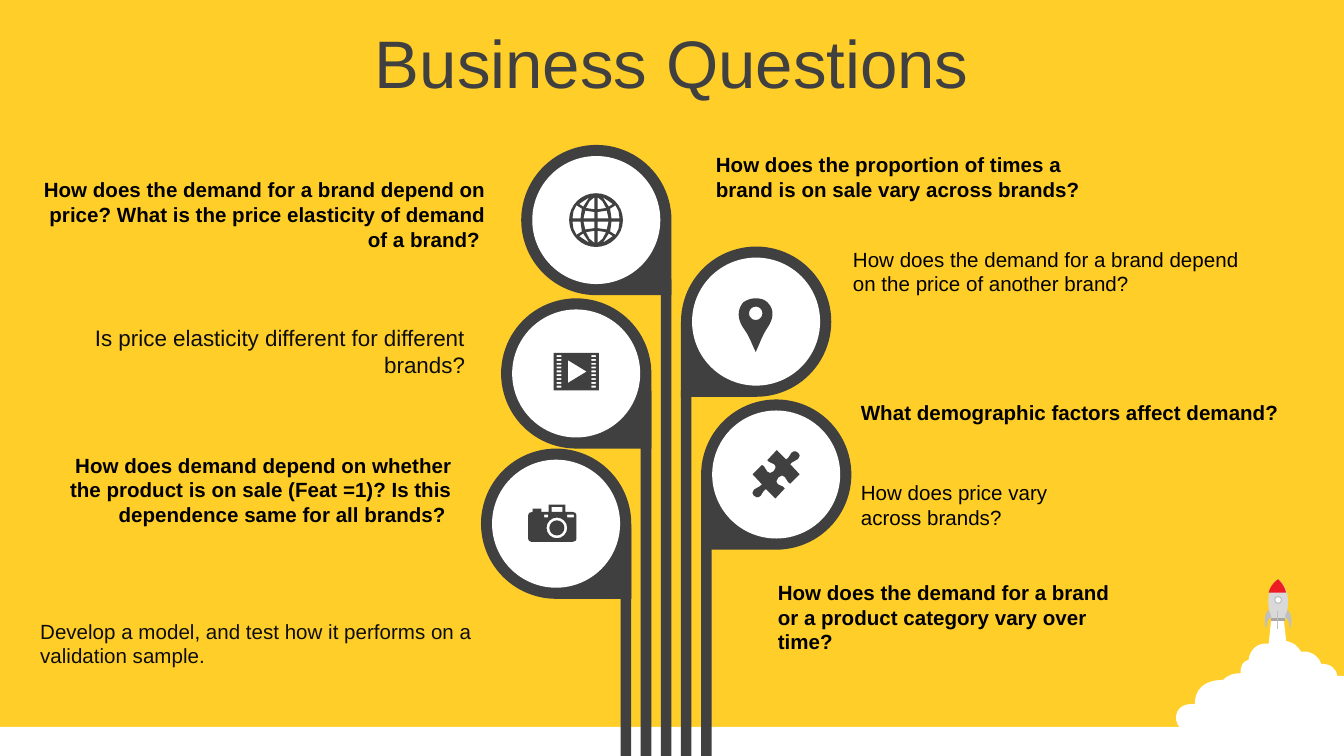
from lxml.etree import SubElement
from pptx import Presentation
from pptx.dml.color import RGBColor as Color
from pptx.enum.shapes import MSO_SHAPE as Preset
from pptx.enum.text import MSO_ANCHOR as Anchor, MSO_AUTO_SIZE as AutoSize, PP_ALIGN as Align
from pptx.oxml.ns import qn
from pptx.util import Cm, Pt

COLORS = {"yellow": "FFCE29", "dark": "404040", "white": "FFFFFF", "black": "000000",
          "ink": "0D0D0D", "body": "D9D9D9", "band": "A6A6A6", "fin": "BFBFBF",
          "red": "ED1C24"}
WIDTH, HEIGHT = 25.4, 14.29
UNIT = 0.0254

TITLE = ("Business Questions", 0, 0.36, WIDTH, 1.6)
BOLD = {"size": Pt(11), "bold": True, "name": "Arial"}
PLAIN = {"size": Pt(11), "bold": False, "name": "Arial"}
LARGE = {"size": Pt(12), "bold": False, "name": "Arial"}
HEADING = {"size": Pt(36), "bold": False, "name": "Arial"}

QUESTIONS = [
    ("How does the demand for a brand depend on price? What is the price elasticity of demand of a brand? ",
     0.51, 3.23, 8.92, 1.68, Align.RIGHT, BOLD, "black"),
    ("How does demand depend on whether the product is on sale (Feat =1)? Is this dependence same for all brands? ",
     1.07, 8.43, 7.72, 1.68, Align.RIGHT, BOLD, "black"),
    ("How does the demand for a brand depend on the price of another brand?",
     15.87, 4.54, 7.82, 1.19, Align.LEFT, PLAIN, "black"),
    ("What demographic factors affect demand?",
     16.02, 7.44, 8.49, 0.73, Align.LEFT, BOLD, "black"),
    ("How does price vary\nacross brands?",
     16.02, 8.95, 7.06, 1.19, Align.LEFT, PLAIN, "black"),
    ("How does the proportion of times a brand is on sale vary across brands?",
     13.28, 2.75, 8.2, 1.19, Align.LEFT, BOLD, "black"),
    ("How does the demand for a brand or a product category vary over time?",
     14.45, 10.84, 7.26, 1.19, Align.LEFT, BOLD, "black"),
    ("Is price elasticity different for different brands?",
     1.45, 6.0, 7.59, 1.28, Align.RIGHT, LARGE, "ink"),
    ("Develop a model, and test how it performs on a validation sample.",
     0.51, 11.57, 10.39, 1.19, Align.LEFT, PLAIN, "ink"),
]

STEM_LEFT, STEM_PITCH, STEM_WIDTH = 11.73, 0.38, 0.2
LEAF, DISC = 2.84, 2.42
BRANCHES = [(2, "left", 2.74, 5.28), (1, "left", 5.64, 7.39), (0, "left", 8.48, 9.98),
            (3, "right", 4.66, 7.39), (4, "right", 7.55, 9.98)]


def rect(left, top, right, bottom):
    return [(left, top), (right, top), (right, bottom), (left, bottom)]


def circle(x, y, r):
    k = 0.55 * r
    return [(x + r, y), (x + r, y + k, x + k, y + r, x, y + r),
            (x - k, y + r, x - r, y + k, x - r, y),
            (x - r, y - k, x - k, y - r, x, y - r),
            (x + k, y - r, x + r, y - k, x + r, y)]


def placed(outline, x, y, flip_x=1, flip_y=1):
    return [tuple(value * flip_y + y if i % 2 else value * flip_x + x
                  for i, value in enumerate(step)) for step in outline]


CLOUD = [(946, 459), (955, 459), (957, 477), (962, 478, 965, 480, 968, 485),
         (975, 484, 981, 488, 983, 494), (990, 494, 994, 497, 995, 503),
         (1000, 503), (1000, 561), (934, 561),
         (923, 561, 917, 556, 913, 551), (905, 555, 894, 552, 893, 543),
         (891, 545, 889, 545, 886, 545), (880, 545, 875, 540, 875, 534),
         (875, 528, 880, 523, 889, 524), (889, 513, 896, 506, 910, 506),
         (914, 502, 918, 501, 923, 501), (923, 495, 925, 492, 929, 491),
         (930, 483, 936, 478, 944, 479)]
HULL = [(946, 462), (944, 453, 940, 440, 951, 431), (962, 441, 958, 454, 956, 462)]
NOSE = [(951, 431), (954, 434, 956, 437, 957, 441), (944, 441), (945, 437, 947, 434, 951, 431)]
FIN = [(-7, -5), (-5, 0), (-9, 2, -8, 7, -9, 9), (-10, 6, -11, -2, -7, -5)]

GLOBE_CELLS = [
    [(9.5, 10), (5, 17), (12.5, 12)],
    [(1.2, 8), (1.2, 17), (4.8, 14), (7.5, 9)],
    [(11.5, 1.2), (10.5, 8.5), (14.5, 11), (16.8, 6.5), (17.5, 1.2)],
    [(1.2, 1.2), (1.2, 6), (8, 7), (9.3, 1.2)],
]
GLOBE = [circle(443.5, 163.8, 20)] + [
    placed(cell, 443.5, 163.8, flip_x, flip_y)
    for cell in GLOBE_CELLS for flip_x in (1, -1) for flip_y in (1, -1)]
FILM = [rect(412, 262.5, 445.5, 290.5), [(422.5, 268), (422.5, 285), (436.5, 276.5)]] + [
    rect(left, 264.3 + 2.84 * row, left + 3.4, 265.7 + 2.84 * row)
    for left in (414.2, 440) for row in range(9)]
PIN = [[(562.3, 222), (566, 222, 569, 223, 571, 225), (577, 231, 575, 238, 571, 244),
        (567, 250, 566, 254, 562.3, 262), (558, 253, 558, 251, 553, 244),
        (549, 238, 548, 231, 553, 225), (556, 223, 559, 222, 562.3, 222)],
       circle(562.3, 233.2, 5)]
PUZZLE_HALF = [(16.5, -16), (18, -15, 18, -13, 16.5, -11.5), (14.5, -9.5, 12.5, -10, 10.5, -7.5),
               (17.5, 0), (10.5, 7), (7.5, 5.5, 8.5, 3.5, 6.5, 2), (5.5, 0, 3.5, 1, 1.8, 2.3),
               (0.5, 3.5, -0.5, 6, 1.5, 7.5), (3.5, 9, 4.5, 8, 6.5, 10.5), (-0.5, 18),
               (-7.5, 11), (-10.5, 13, -9.5, 14, -11.5, 16),
               (-13.5, 18, -15.5, 17, -16.5, 16)]
PUZZLE = [placed(PUZZLE_HALF, 577.5, 353) + placed(PUZZLE_HALF, 577.5, 353, -1, -1)]
CAMERA = [[(408.3, 375.5), (420.8, 375.5), (420.8, 381), (426, 381),
           (428, 381, 429, 382, 429, 383.5), (429, 401), (429, 402, 428, 403.3, 426, 403.3),
           (395.5, 403.3), (394, 403.3, 393, 402, 393, 401), (393, 383.5),
           (393, 382, 394, 381, 396.3, 381), (396.3, 378.6), (402.8, 378.6),
           (402.8, 381), (408.3, 381)],
          rect(410.5, 377.3, 418.5, 381), rect(405, 383, 408, 385), rect(422, 383, 427, 385),
          circle(414.4, 392.9, 7.7), circle(414.4, 392.9, 5.6)]

SCENERY = [([CLOUD], "white"), ([HULL], "body"), ([rect(946, 460, 956, 462)], "band"),
           ([NOSE], "red"), ([circle(951, 446.5, 3)], "fin"), ([circle(951, 446.5, 2)], "white"),
           ([rect(950.5, 455, 951.3, 468)], "fin"),
           ([placed(FIN, 951, 459)], "fin"), ([placed(FIN, 951, 459, -1)], "fin")]
ICONS = [GLOBE, FILM, PIN, PUZZLE, CAMERA]


def paint(shape, color):
    shape.shadow.inherit = False
    shape.fill.solid()
    shape.fill.fore_color.rgb = Color.from_string(COLORS[color])
    shape.line.fill.background()
    return shape


def add_preset(page, preset, color, *place):
    return paint(page.shapes.add_shape(preset, *map(Cm, place)), color)


def knots(outline):
    return [(Cm(step[i] * UNIT), Cm(step[i + 1] * UNIT))
            for step in outline for i in range(0, len(step), 2)]


def bend(shape, outlines):
    lines = iter(list(shape.element.iter(qn("a:lnTo"))))
    for step in (step for outline in outlines for step in outline[1:]):
        parts = [next(lines) for _ in range(len(step) // 2)]
        if len(parts) == 3:
            curve = SubElement(parts[0].getparent(), qn("a:cubicBezTo"))
            parts[0].addprevious(curve)
            for part in parts:
                curve.append(part[0])
                part.getparent().remove(part)


def add_drawing(page, outlines, color):
    first, *others = map(knots, outlines)
    builder = page.shapes.build_freeform(*first[0], scale=1.0)
    builder.add_line_segments(first[1:], close=True)
    for points in others:
        builder.move_to(*points[0])
        builder.add_line_segments(points[1:], close=True)
    shape = paint(builder.convert_to_shape(), color)
    bend(shape, outlines)


def add_text(page, text, left, top, width, height, align, style, color, frame_style):
    box = page.shapes.add_textbox(Cm(left), Cm(top), Cm(width), Cm(height))
    frame = box.text_frame
    for key, value in {"word_wrap": True, **frame_style}.items():
        setattr(frame, key, value)
    frame.text = text
    for para in frame.paragraphs:
        para.alignment = align
        for span in para.runs:
            for key, value in style.items():
                setattr(span.font, key, value)
            span.font.color.rgb = Color.from_string(COLORS[color])
    return frame


def add_branch(page, stem, side, top):
    left = STEM_LEFT + stem * STEM_PITCH
    if side == "left":
        left += STEM_WIDTH - LEAF
    leaf = add_preset(page, Preset.TEAR, "dark", left, top, LEAF, LEAF)
    leaf.rotation = 90 if side == "left" else 180
    inset = (LEAF - DISC) / 2
    add_preset(page, Preset.OVAL, "white", left + inset, top + inset, DISC, DISC)


def main():
    deck = Presentation()
    deck.slide_width, deck.slide_height = Cm(WIDTH), Cm(HEIGHT)
    page = deck.slides.add_slide(deck.slide_layouts[6])
    page.background.fill.solid()
    page.background.fill.fore_color.rgb = Color.from_string(COLORS["yellow"])
    add_preset(page, Preset.RECTANGLE, "white", 0, 13.74, WIDTH, HEIGHT - 13.74)
    for outlines, color in SCENERY:
        add_drawing(page, outlines, color)
    title = add_text(page, *TITLE, Align.CENTER, HEADING, "dark",
                     {"vertical_anchor": Anchor.MIDDLE})
    title.paragraphs[0].space_before = Pt(7)
    for stem, side, top, _ in BRANCHES:
        add_branch(page, stem, side, top)
    for stem, _, _, top in BRANCHES:
        add_preset(page, Preset.RECTANGLE, "dark", STEM_LEFT + stem * STEM_PITCH, top,
                   STEM_WIDTH, HEIGHT - top)
    for icon in ICONS:
        add_drawing(page, icon, "dark")
    for question in QUESTIONS:
        add_text(page, *question, {"auto_size": AutoSize.SHAPE_TO_FIT_TEXT})
    deck.save("out.pptx")


if __name__ == "__main__":
    main()
